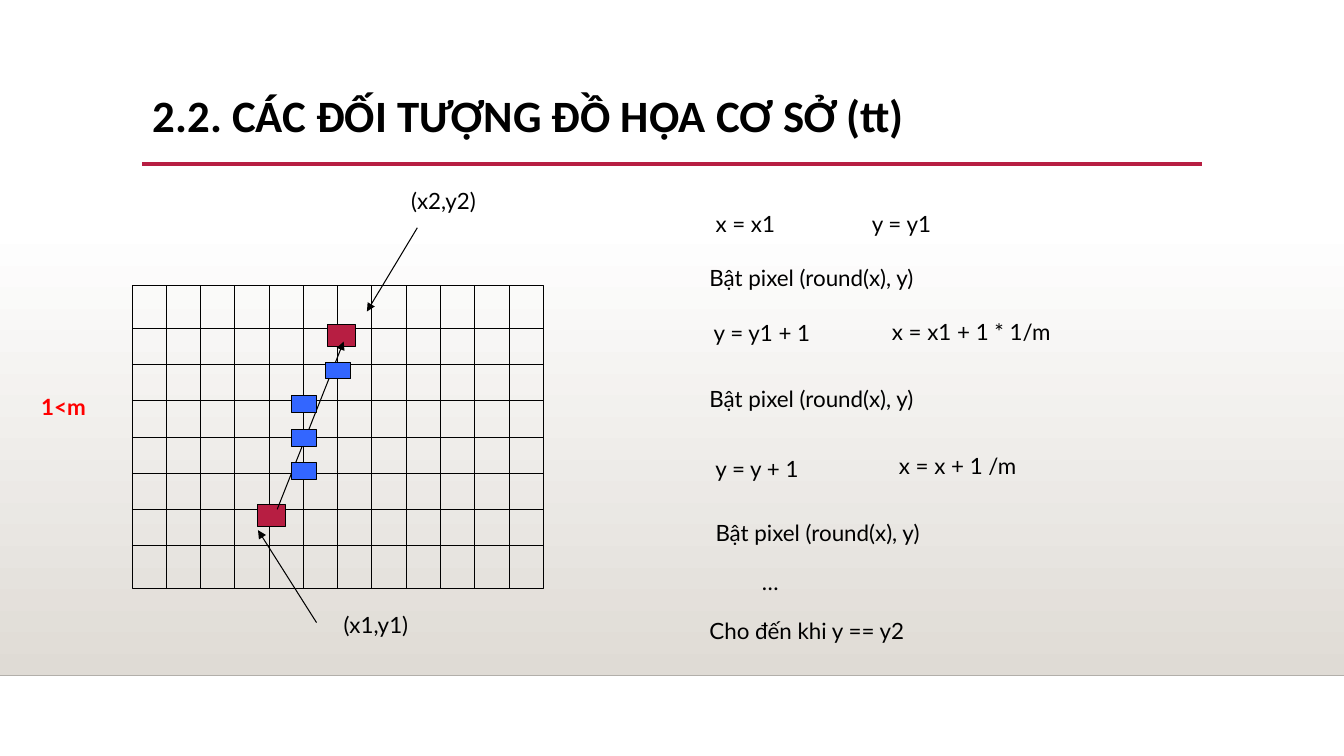
"""Build the slide on drawing a line with slope greater than one."""
from typing import NamedTuple, Optional

from lxml.etree import SubElement
from pptx import Presentation
from pptx.dml.color import RGBColor
from pptx.enum.shapes import MSO_CONNECTOR, MSO_SHAPE
from pptx.enum.text import MSO_ANCHOR
from pptx.oxml.ns import qn
from pptx.shapes.autoshape import Shape
from pptx.slide import Slide
from pptx.util import Pt

BLACK = RGBColor(0x00, 0x00, 0x00)
WHITE = RGBColor(0xFF, 0xFF, 0xFF)
SAND = RGBColor(0xDF, 0xDB, 0xD5)
GREY = RGBColor(0xB2, 0xAF, 0xAA)
CRIMSON = RGBColor(0xB7, 0x1E, 0x42)
BLUE = RGBColor(0x33, 0x66, 0xFF)
RED = RGBColor(0xFF, 0x00, 0x00)

SLIDE_WIDTH, SLIDE_HEIGHT = 960, 540
BAND_TOP, BAND_BOTTOM = 159, 482.4
GRID_LEFT, GRID_TOP, GRID_WIDTH, GRID_HEIGHT = 94.3, 203.8, 293.8, 216.7
COLUMNS = 12
FIRST_ROW_LINE, ROW_STEP, ROW_LINES = 234.8, 25.8, 7
TAB_STOP = 111.6


class Label(NamedTuple):
    """A piece of text and the corner of its box."""
    text: str
    left: float
    top: float
    width: float
    height: float = 26.6
    size: float = 16
    font: str = "Lato"
    color: RGBColor = BLACK
    bold: bool = False
    line_spacing: Optional[float] = None


class Segment(NamedTuple):
    """A straight line, with or without an arrowhead at its end."""
    x1: float
    y1: float
    x2: float
    y2: float
    color: RGBColor = BLACK
    weight: float = 0.75
    arrow: bool = False


class Pixel(NamedTuple):
    """A lit pixel of the grid."""
    left: float
    top: float
    width: float
    height: float
    color: RGBColor


def blue_pixel(left: float, top: float) -> Pixel:
    """Describe a pixel between the two end points."""
    return Pixel(left, top, 18.2, 12, BLUE)


def end_pixel(left: float, top: float) -> Pixel:
    """Describe a pixel at an end point."""
    return Pixel(left, top, 19.8, 15.8, CRIMSON)


RULES = [
    Segment(0, BAND_BOTTOM, SLIDE_WIDTH, BAND_BOTTOM, GREY, 1),
    Segment(101.5, 117.2, 858.5, 117.2, CRIMSON, 2.5),
]
END_PIXELS = [end_pixel(184, 360.6), end_pixel(234, 231.8)]
ARROWS = [
    Segment(198, 363.8, 245.5, 244, arrow=True),
    Segment(226.1, 444.7, 184.3, 378.7, arrow=True),
    Segment(298.1, 162.7, 262.1, 222.5, arrow=True),
]
LINE_PIXELS = [
    blue_pixel(208.1, 330.5),
    blue_pixel(208.1, 306.7),
    blue_pixel(208.1, 282.7),
    blue_pixel(232.4, 258.7),
]
LIGHT_PIXEL = "Bật pixel (round(x), y)"
LABELS = [
    Label("2.2. CÁC ĐỐI TƯỢNG ĐỒ HỌA CƠ SỞ (tt)", 102, 63.4, 756, 82.8,
          32, "Calibri", bold=True, line_spacing=0.9),
    Label("x = x1\ty = y1", 504, 146.4, 192),
    Label(LIGHT_PIXEL, 499.7, 184.8, 173),
    Label("y = y1 + 1", 502.7, 224.2, 97),
    Label("x = x1 + 1 * 1/m", 630, 223.4, 150),
    Label(LIGHT_PIXEL, 499.7, 271.5, 173),
    Label("y = y + 1", 504, 321.5, 83),
    Label("x = x + 1 /m", 635, 319.6, 117),
    Label(LIGHT_PIXEL, 504, 367.2, 173),
    Label("…", 537.1, 402.5, 36),
    Label("Cho đến khi y == y2", 499.7, 437, 169),
    Label("(x2,y2)", 286.6, 130.4, 66),
    Label("(x1,y1)", 238.3, 432.7, 66),
    Label("1<m", 22.3, 277.4, 54, color=RED, bold=True),
]


def add_rectangle(page: Slide, left: float, top: float,
                  width: float, height: float) -> Shape:
    """Add a plain rectangle without shadow."""
    box = page.shapes.add_shape(MSO_SHAPE.RECTANGLE, Pt(left), Pt(top),
                                Pt(width), Pt(height))
    box.shadow.inherit = False
    box.line.color.rgb = BLACK
    box.line.width = Pt(0.75)
    return box


def draw_band(page: Slide) -> None:
    """Draw the shaded band behind the content."""
    band = add_rectangle(page, 0, BAND_TOP, SLIDE_WIDTH, BAND_BOTTOM - BAND_TOP)
    band.line.fill.background()
    band.fill.gradient()
    band.fill.gradient_angle = 270
    for stop, color in zip(band.fill.gradient_stops, (WHITE, SAND)):
        stop.color.rgb = color


def draw_segment(page: Slide, segment: Segment) -> None:
    """Draw one line or arrow."""
    connector = page.shapes.add_connector(
        MSO_CONNECTOR.STRAIGHT, Pt(segment.x1), Pt(segment.y1),
        Pt(segment.x2), Pt(segment.y2))
    connector.line.color.rgb = segment.color
    connector.line.width = Pt(segment.weight)
    if segment.arrow:
        SubElement(connector.line._get_or_add_ln(), qn("a:tailEnd"),
                   type="triangle")
    SubElement(connector._element.spPr, qn("a:effectLst"))


def draw_pixel(page: Slide, pixel: Pixel) -> None:
    """Draw one lit pixel."""
    box = add_rectangle(page, pixel.left, pixel.top, pixel.width, pixel.height)
    box.fill.solid()
    box.fill.fore_color.rgb = pixel.color


def draw_grid(page: Slide) -> None:
    """Draw the frame and the inner lines of the pixel grid."""
    frame = add_rectangle(page, GRID_LEFT, GRID_TOP, GRID_WIDTH, GRID_HEIGHT)
    frame.fill.background()
    for column in range(1, COLUMNS):
        x = GRID_LEFT + column * GRID_WIDTH / COLUMNS
        draw_segment(page, Segment(x, GRID_TOP, x, GRID_TOP + GRID_HEIGHT))
    for row in range(ROW_LINES):
        y = FIRST_ROW_LINE + row * ROW_STEP
        draw_segment(page, Segment(GRID_LEFT, y, GRID_LEFT + GRID_WIDTH, y))


def draw_label(page: Slide, label: Label) -> None:
    """Write one label."""
    box = page.shapes.add_textbox(Pt(label.left), Pt(label.top),
                                  Pt(label.width), Pt(label.height))
    box.text_frame.word_wrap = True
    box.text_frame.vertical_anchor = MSO_ANCHOR.TOP
    box.text_frame.text = label.text
    para = box.text_frame.paragraphs[0]
    if label.line_spacing:
        para.line_spacing = label.line_spacing
    if "\t" in label.text:
        tabs = SubElement(para._p.get_or_add_pPr(), qn("a:tabLst"))
        SubElement(tabs, qn("a:tab"), pos=str(int(Pt(TAB_STOP))), algn="l")
    for span in para.runs:
        span.font.name = label.font
        span.font.size = Pt(label.size)
        span.font.bold = label.bold
        span.font.color.rgb = label.color


def main() -> None:
    """Build and save the deck."""
    deck = Presentation()
    deck.slide_width, deck.slide_height = Pt(SLIDE_WIDTH), Pt(SLIDE_HEIGHT)
    page = deck.slides.add_slide(deck.slide_layouts[6])
    draw_band(page)
    for rule in RULES:
        draw_segment(page, rule)
    draw_grid(page)
    for pixel in END_PIXELS:
        draw_pixel(page, pixel)
    for arrow in ARROWS:
        draw_segment(page, arrow)
    for pixel in LINE_PIXELS:
        draw_pixel(page, pixel)
    for label in LABELS:
        draw_label(page, label)
    deck.save("out.pptx")


if __name__ == "__main__":
    main()
